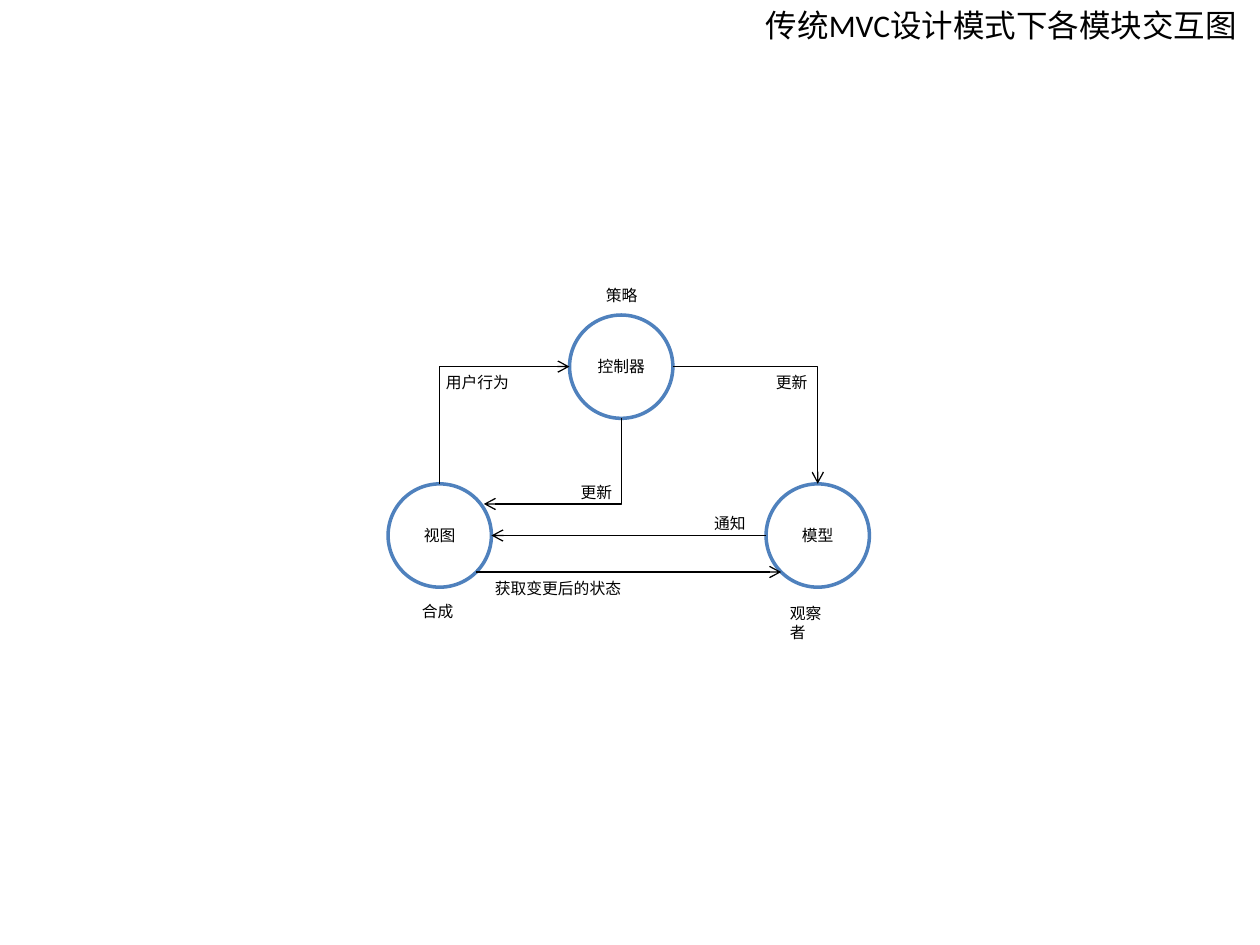
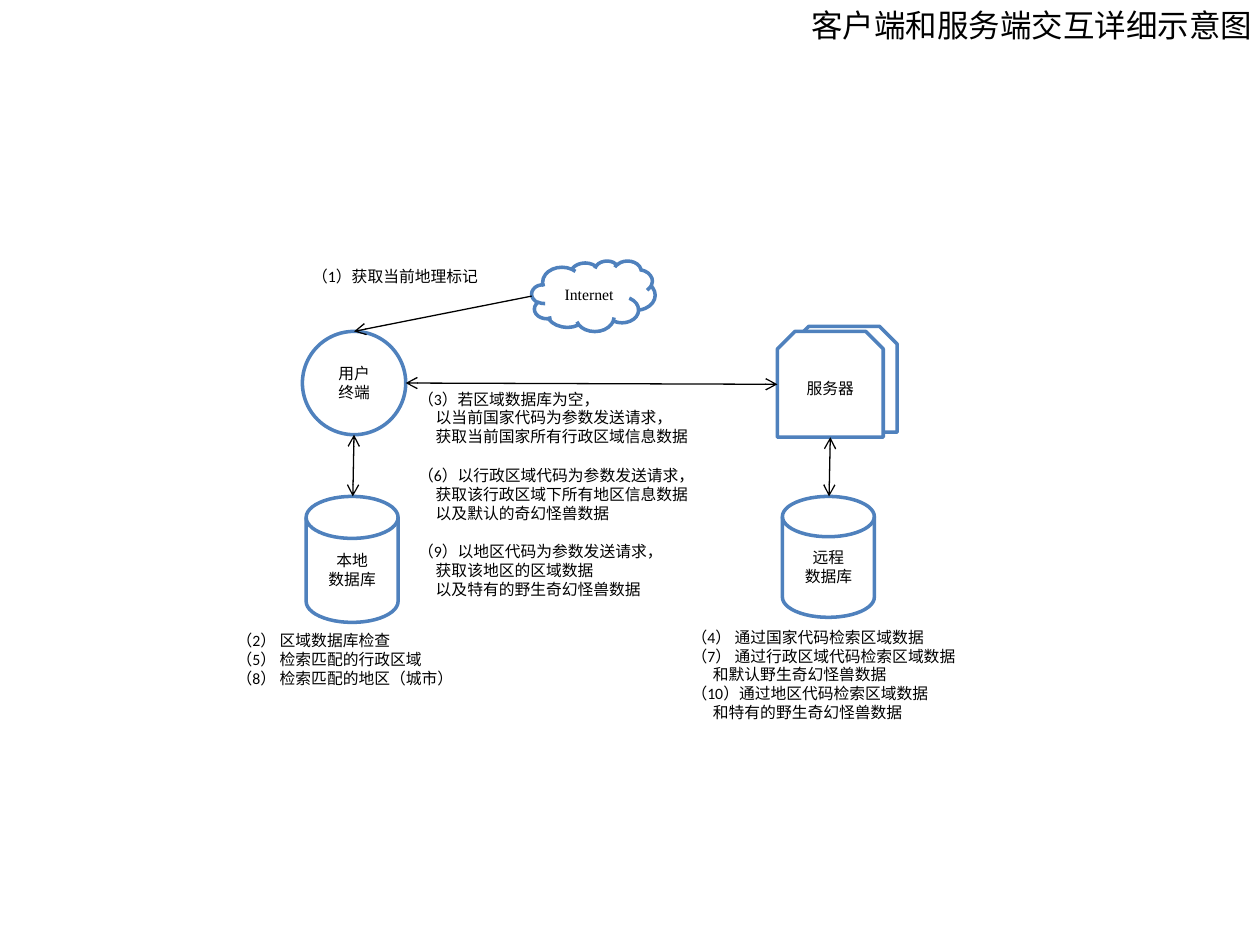
"""Build two slides on MVC module interaction and client-server interaction."""
from lxml import etree
from pptx import Presentation
from pptx.dml.color import RGBColor
from pptx.enum.shapes import MSO_CONNECTOR, MSO_SHAPE
from pptx.enum.text import MSO_ANCHOR, PP_ALIGN
from pptx.oxml.ns import qn
from pptx.util import Inches, Pt

ELLIPSE = MSO_SHAPE.OVAL
CLOUD = MSO_SHAPE.CLOUD
DISK = MSO_SHAPE.FLOWCHART_MAGNETIC_DISK
SERVER = MSO_SHAPE.SNIP_2_SAME_RECTANGLE
STRAIGHT = MSO_CONNECTOR.STRAIGHT
LEFT, CENTER = PP_ALIGN.LEFT, PP_ALIGN.CENTER
MIDDLE = MSO_ANCHOR.MIDDLE

BLACK, WHITE, BLUE = "000000", "FFFFFF", "4F81BD"
FONT, CJK_FONT, SERIF = "Calibri", "Noto Sans CJK SC", "Times New Roman"
NODE = 0.82
LABEL_HEIGHT = 0.25


def color(value):
    """Turn a hex string into a colour."""
    return RGBColor.from_string(value)


def style_paragraph(p, size=9, font=FONT, align=LEFT):
    """Format a paragraph and all its runs."""
    p.alignment = align
    for r in p.runs:
        r.font.size = Pt(size)
        r.font.name = font
        r.font.color.rgb = color(BLACK)


def add_text(s, x, y, w, h, text, size=9, wrap=False):
    """Add a text box and return its text frame."""
    tf = s.shapes.add_textbox(Inches(x), Inches(y), Inches(w), Inches(h)).text_frame
    tf.word_wrap = wrap
    tf.text = text
    for p in tf.paragraphs:
        style_paragraph(p, size)
    return tf


def add_title(s, x, w, text):
    """Add the slide title at the top right."""
    add_text(s, x, 0, w, 0.4, text, size=18)


def add_label(s, x, y, w, text):
    """Add a one-line label."""
    add_text(s, x, y, w, LABEL_HEIGHT, text)


def add_steps(s, x, y, w, h, steps, indent=0, gap=0, wrap=False):
    """Add numbered steps whose following lines are indented."""
    lines = [line for step in steps for line in step]
    tf = add_text(s, x, y, w, h, "\n".join(lines), wrap=wrap)
    heads = [step[0] for step in steps]
    for p in tf.paragraphs:
        if p.text not in heads:
            p._p.get_or_add_pPr().set("marL", str(Inches(indent)))
        elif p.text != heads[0]:
            p.space_before = Pt(gap)


def add_node(s, kind, x, y, w, h, text="", font=FONT):
    """Add a white shape with a blue outline and centred text."""
    sp = s.shapes.add_shape(kind, Inches(x), Inches(y), Inches(w), Inches(h))
    sp.shadow.inherit = False
    sp.fill.solid()
    sp.fill.fore_color.rgb = color(WHITE)
    sp.line.color.rgb = color(BLUE)
    sp.line.width = Pt(2)
    tf = sp.text_frame
    tf.vertical_anchor = MIDDLE
    tf.text = text
    for p in tf.paragraphs:
        style_paragraph(p, font=font, align=CENTER)


def style_arrow(line_shape, both=False):
    """Give a line its black stroke and open arrowheads."""
    line_shape.line.color.rgb = color(BLACK)
    line_shape.line.width = Pt(0.75)
    ln = line_shape.element.spPr.find(qn("a:ln"))
    for end in ("a:headEnd", "a:tailEnd") if both else ("a:tailEnd",):
        etree.SubElement(ln, qn(end), type="arrow")


def add_arrow(s, start, end, both=False):
    """Add a straight arrow between two points."""
    points = [Inches(v) for v in (*start, *end)]
    line = s.shapes.add_connector(STRAIGHT, *points)
    style_arrow(line, both)
    etree.SubElement(line.element.spPr, qn("a:effectLst"))


def add_elbow_arrow(s, start, corner, end):
    """Add an arrow with one right-angled bend."""
    points = [(Inches(x), Inches(y)) for x, y in (start, corner, end)]
    builder = s.shapes.build_freeform(*points[0])
    builder.add_line_segments(points[1:], close=False)
    sp = builder.convert_to_shape()
    sp.shadow.inherit = False
    sp.fill.background()
    style_arrow(sp)


def build_mvc_slide(s):
    """Draw the interaction of controller, view and model."""
    add_title(s, 5.98, 4.06, "传统MVC设计模式下各模块交互图")
    for x, y, name in ((4.52, 2.5, "控制器"), (3.08, 3.84, "视图"), (6.08, 3.84, "模型")):
        add_node(s, ELLIPSE, x, y, NODE, NODE, name)

    add_elbow_arrow(s, (3.49, 3.84), (3.49, 2.91), (4.52, 2.91))
    add_elbow_arrow(s, (4.93, 3.32), (4.93, 4), (3.84, 4))
    add_elbow_arrow(s, (5.34, 2.91), (6.49, 2.91), (6.49, 3.84))
    add_arrow(s, (6.08, 4.25), (3.9, 4.25))
    add_arrow(s, (3.78, 4.54), (6.2, 4.54))

    for x, y, w, text in (
        (3.44, 2.91, 0.7, "用户行为"),
        (6.06, 2.91, 0.45, "更新"),
        (4.51, 3.78, 0.45, "更新"),
        (5.57, 4.03, 0.45, "通知"),
        (3.83, 4.54, 1.2, "获取变更后的状态"),
        (3.25, 4.73, 0.45, "合成"),
        (6.17, 4.74, 0.57, "观察者"),
        (4.71, 2.22, 0.45, "策略"),
    ):
        add_label(s, x, y, w, text)


def build_client_server_slide(s):
    """Draw the interaction of terminal, server and databases."""
    add_title(s, 6.34, 3.7, "客户端和服务端交互详细示意图")
    add_node(s, ELLIPSE, 2.4, 2.63, NODE, NODE, "用户\n终端", CJK_FONT)
    add_node(s, DISK, 2.43, 3.94, 0.73, 1, "本地\n数据库")
    add_node(s, CLOUD, 4.22, 2.07, 0.98, 0.56, "Internet", SERIF)
    add_node(s, DISK, 6.21, 3.94, 0.73, 0.96, "远程\n数据库")
    add_node(s, SERVER, 6.28, 2.59, 0.84, 0.84)
    add_node(s, SERVER, 6.17, 2.63, 0.84, 0.84, "服务器", CJK_FONT)

    add_arrow(s, (4.22, 2.35), (2.81, 2.63))
    add_arrow(s, (2.81, 3.45), (2.8, 3.94), both=True)
    add_arrow(s, (6.59, 3.47), (6.58, 3.94), both=True)
    add_arrow(s, (3.22, 3.04), (6.17, 3.05), both=True)

    add_label(s, 2.38, 2.07, 1.57, "（1）获取当前地理标记")
    add_steps(s, 1.78, 4.96, 1.98, 0.55, [
        ["（2） 区域数据库检查"],
        ["（5） 检索匹配的行政区域"],
        ["（8） 检索匹配的地区（城市）"],
    ])
    add_steps(s, 3.22, 3.04, 2.94, 1.91, [
        ["（3）若区域数据库为空，",
         "以当前国家代码为参数发送请求，",
         "获取当前国家所有行政区域信息数据"],
        ["（6）以行政区域代码为参数发送请求，",
         "获取该行政区域下所有地区信息数据",
         "以及默认的奇幻怪兽数据"],
        ["（9）以地区代码为参数发送请求，",
         "获取该地区的区域数据",
         "以及特有的野生奇幻怪兽数据"],
    ], indent=0.14, gap=11, wrap=True)
    add_steps(s, 5.39, 4.93, 2.35, 0.85, [
        ["（4） 通过国家代码检索区域数据"],
        ["（7） 通过行政区域代码检索区域数据", "和默认野生奇幻怪兽数据"],
        ["（10）通过地区代码检索区域数据", "和特有的野生奇幻怪兽数据"],
    ], indent=0.17)


def main():
    """Build and save the presentation."""
    prs = Presentation()
    prs.slide_width, prs.slide_height = Inches(10), Inches(7.5)
    blank = prs.slide_layouts[6]
    for build in (build_mvc_slide, build_client_server_slide):
        build(prs.slides.add_slide(blank))
    prs.save("out.pptx")


if __name__ == "__main__":
    main()
